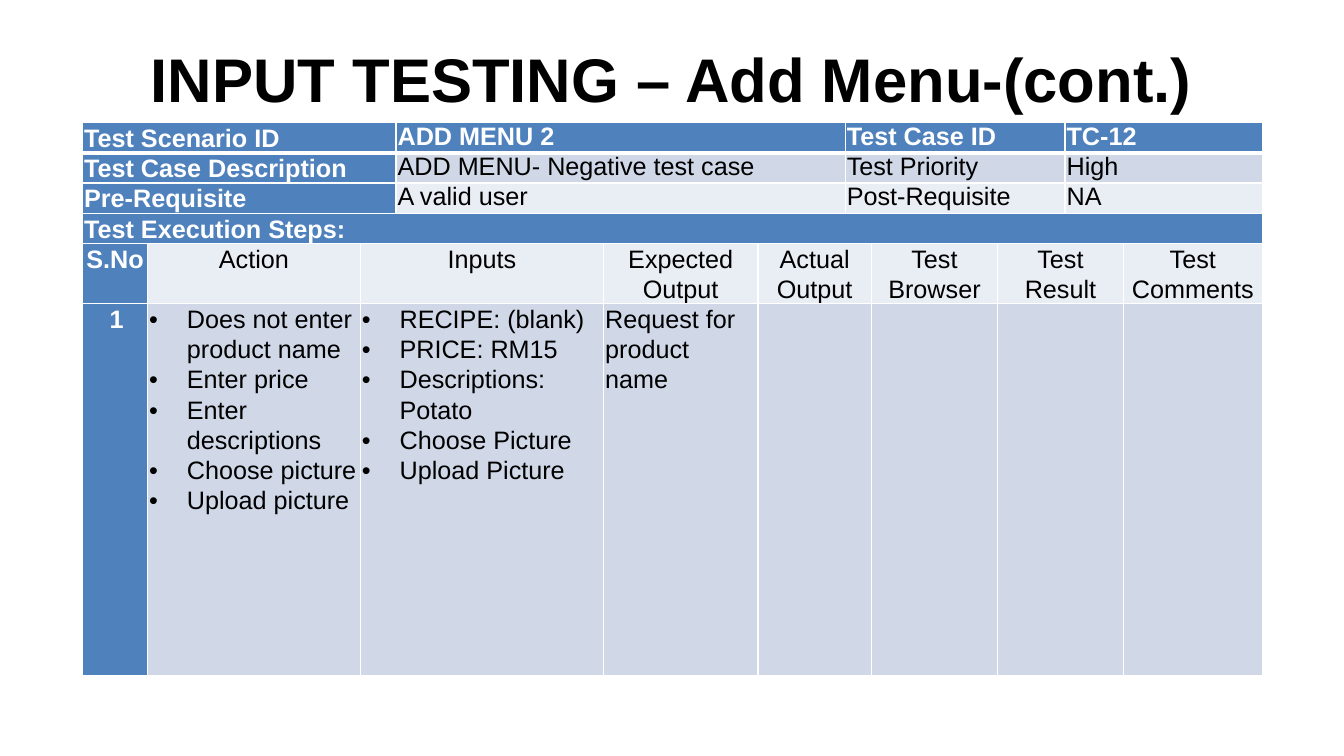
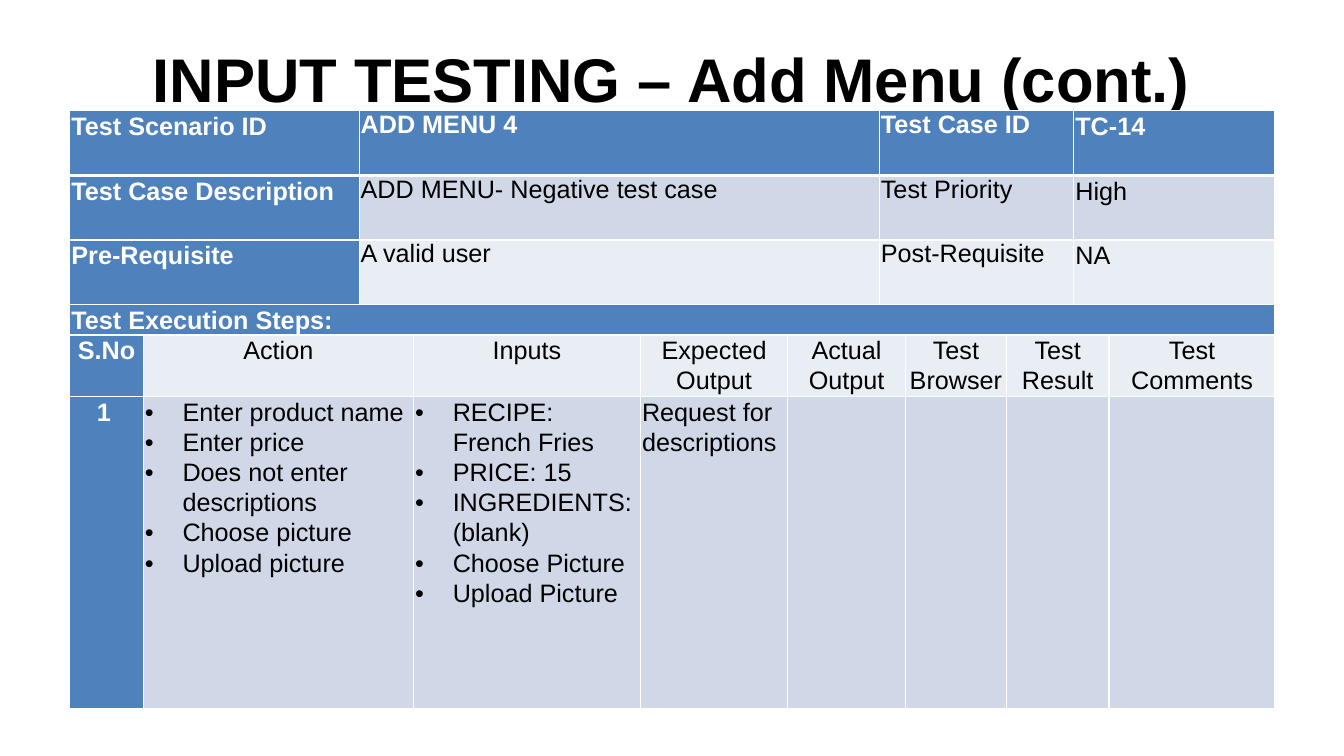
"""Build two input-testing slides, each with a test case table."""
from dataclasses import dataclass
from itertools import accumulate

from lxml import etree
from pptx import Presentation
from pptx.dml.color import RGBColor
from pptx.enum.text import MSO_ANCHOR, MSO_AUTO_SIZE, PP_ALIGN
from pptx.oxml.ns import qn
from pptx.util import Cm, Pt

CENTER, LEFT = PP_ALIGN.CENTER, PP_ALIGN.LEFT
TOP, NO_FIT = MSO_ANCHOR.TOP, MSO_AUTO_SIZE.NONE
FONT = "Arial"
WHITE, BLACK = "FFFFFF", "000000"
BLUE, BAND, PALE = "4F81BD", "D0D8E8", "E9EDF4"
ROW_FILLS = (BLUE, BAND, PALE, BLUE, PALE, BAND)
LOOSE = 1.07
HEADINGS = ("S.No", "Action", "Inputs", "Expected Output", "Actual Output",
            "Test Browser", "Test Result", "Test Comments")


@dataclass(frozen=True)
class TestCase:
    """Content and table layout (in cm) of one slide."""
    title: str
    scenario: str
    case_id: str
    actions: tuple[str, ...]
    inputs: tuple[str, ...]
    expected: str
    left: float
    top: float
    widths: tuple[float, ...]
    heights: tuple[float, ...]
    info_spans: tuple[int, ...]
    step_spans: tuple[int, ...]
    value_spacing: float


@dataclass(frozen=True)
class Entry:
    """Text and paragraph format of one table cell."""
    lines: tuple[str, ...]
    spacing: float = LOOSE
    align: int = LEFT
    indent: float = 0
    bullet: bool = False


CASES = (
    TestCase(
        title="INPUT TESTING – Add Menu-(cont.)",
        scenario="ADD MENU 2", case_id="TC-12",
        actions=("Does not enter product name", "Enter price",
                 "Enter descriptions", "Choose picture", "Upload picture"),
        inputs=("RECIPE: (blank)", "PRICE: RM15", "Descriptions: Potato",
                "Choose Picture", "Upload Picture"),
        expected="Request for product name",
        left=2.08, top=3.09,
        widths=(1.64, 5.36, 0.9, 5.23, 3.89, 2.2, 0.66, 3.18, 1.7, 1.47, 3.5),
        heights=(0.74, 0.74, 0.74, 0.74, 1.52, 9.37),
        info_spans=(3, 3, 3, 2), step_spans=(1, 1, 2, 1, 2, 1, 2, 1),
        value_spacing=1.0),
    TestCase(
        title="INPUT TESTING – Add Menu (cont.)",
        scenario="ADD MENU 4", case_id="TC-14",
        actions=("Enter product name", "Enter price",
                 "Does not enter descriptions", "Choose picture",
                 "Upload picture"),
        inputs=("RECIPE: French Fries", "PRICE: 15", "INGREDIENTS:(blank)",
                "Choose Picture", "Upload Picture"),
        expected="Request for descriptions",
        left=1.76, top=2.79,
        widths=(1.85, 5.44, 1.37, 5.72, 3.71, 2.31, 0.66, 2.54, 1.7, 0.89, 4.18),
        heights=(1.63, 1.63, 1.63, 0.76, 1.55, 7.87),
        info_spans=(2, 4, 3, 2), step_spans=(1, 2, 1, 1, 2, 1, 2, 1),
        value_spacing=LOOSE),
)


def rgb(color: str) -> RGBColor:
    """Turn a hex string into a colour."""
    return RGBColor.from_string(color)


def format_font(p, size: float, color: str, bold: bool) -> None:
    """Format every run of a paragraph."""
    for r in p.runs:
        r.font.name, r.font.size, r.font.bold = FONT, Pt(size), bold
        r.font.color.rgb = rgb(color)


def add_title(slide, text: str) -> None:
    """Place the centred slide title."""
    sp = slide.shapes.title
    sp.left, sp.top, sp.width, sp.height = Cm(0), Cm(0.74), Cm(33.87), Cm(1.73)
    tf = sp.text_frame
    tf.text = text
    tf.auto_size, tf.vertical_anchor, tf.word_wrap = NO_FIT, TOP, True
    tf.margin_top, tf.margin_bottom = Cm(0.3), Cm(0)
    p = tf.paragraphs[0]
    p.alignment = CENTER
    format_font(p, 44, BLACK, True)


def style_cell(cell, row: int, fill: str) -> None:
    """Give a cell its white borders, fill and margins."""
    tc_pr = cell._tc.get_or_add_tcPr()
    widths = {"lnL": 1, "lnR": 1, "lnT": 3 if row == 1 else 1,
              "lnB": 3 if row == 0 else 1}
    for tag, width in widths.items():
        ln = etree.SubElement(tc_pr, qn(f"a:{tag}"), w=str(Pt(width)))
        solid = etree.SubElement(ln, qn("a:solidFill"))
        etree.SubElement(solid, qn("a:srgbClr"), val=WHITE)
    cell.fill.solid()
    cell.fill.fore_color.rgb = rgb(fill)
    cell.margin_left = cell.margin_right = Cm(0.04)
    cell.margin_top = cell.margin_bottom = Cm(0)


def write_cell(cell, entry: Entry, on_blue: bool) -> None:
    """Write the paragraphs of a cell."""
    tf = cell.text_frame
    tf.text = "\n".join(entry.lines)
    for p in tf.paragraphs:
        p_pr = p._p.get_or_add_pPr()
        p_pr.set("marL", str(Cm(entry.indent)))
        if entry.bullet:
            p_pr.set("indent", str(-Cm(entry.indent)))
            etree.SubElement(p_pr, qn("a:buFont"), typeface=FONT)
            etree.SubElement(p_pr, qn("a:buChar"), char="•")
        p.alignment, p.line_spacing = entry.align, entry.spacing
        format_font(p, 18, WHITE if on_blue else BLACK, on_blue)


def table_rows(case: TestCase) -> list[tuple[tuple[int, ...], list[Entry]]]:
    """List the column spans and entries of each table row."""
    info = (
        ("Test Scenario ID", case.scenario, "Test Case ID", case.case_id),
        ("Test Case Description", "ADD MENU- Negative test case",
         "Test Priority", "High"),
        ("Pre-Requisite", "A valid user", "Post-Requisite", "NA"),
    )
    spacings = (LOOSE, 1.0, 1.0, case.value_spacing)
    rows = [(case.info_spans, [Entry((text,), spacing)
                               for text, spacing in zip(texts, spacings)])
            for texts in info]
    rows.append(((len(case.widths),), [Entry(("Test Execution Steps:",))]))
    rows.append((case.step_spans,
                 [Entry((text,), align=CENTER) for text in HEADINGS]))
    step = [Entry(("1",), indent=0.64),
            Entry(case.actions, indent=0.95, bullet=True),
            Entry(case.inputs, indent=0.95, bullet=True),
            Entry((case.expected,))]
    rows.append((case.step_spans, step))
    return rows


def add_case_table(slide, case: TestCase) -> None:
    """Draw the table of one test case."""
    table = slide.shapes.add_table(
        len(case.heights), len(case.widths), Cm(case.left), Cm(case.top),
        Cm(sum(case.widths)), Cm(sum(case.heights))).table
    table.first_row = table.horz_banding = False
    for column, width in zip(table.columns, case.widths):
        column.width = Cm(width)
    for row, height in zip(table.rows, case.heights):
        row.height = Cm(height)
    for i, (spans, entries) in enumerate(table_rows(case)):
        starts = list(accumulate(spans, initial=0))
        for j in range(len(case.widths)):
            fill = BLUE if j < spans[0] else ROW_FILLS[i]
            style_cell(table.cell(i, j), i, fill)
        for start, span in zip(starts, spans):
            if span > 1:
                table.cell(i, start).merge(table.cell(i, start + span - 1))
        for start, entry in zip(starts, entries):
            on_blue = start == 0 or ROW_FILLS[i] == BLUE
            write_cell(table.cell(i, start), entry, on_blue)


def main() -> None:
    """Build and save the presentation."""
    prs = Presentation()
    prs.slide_width, prs.slide_height = Cm(33.87), Cm(19.05)
    for case in CASES:
        slide = prs.slides.add_slide(prs.slide_layouts[5])
        add_case_table(slide, case)
        add_title(slide, case.title)
    prs.save("out.pptx")


if __name__ == "__main__":
    main()
